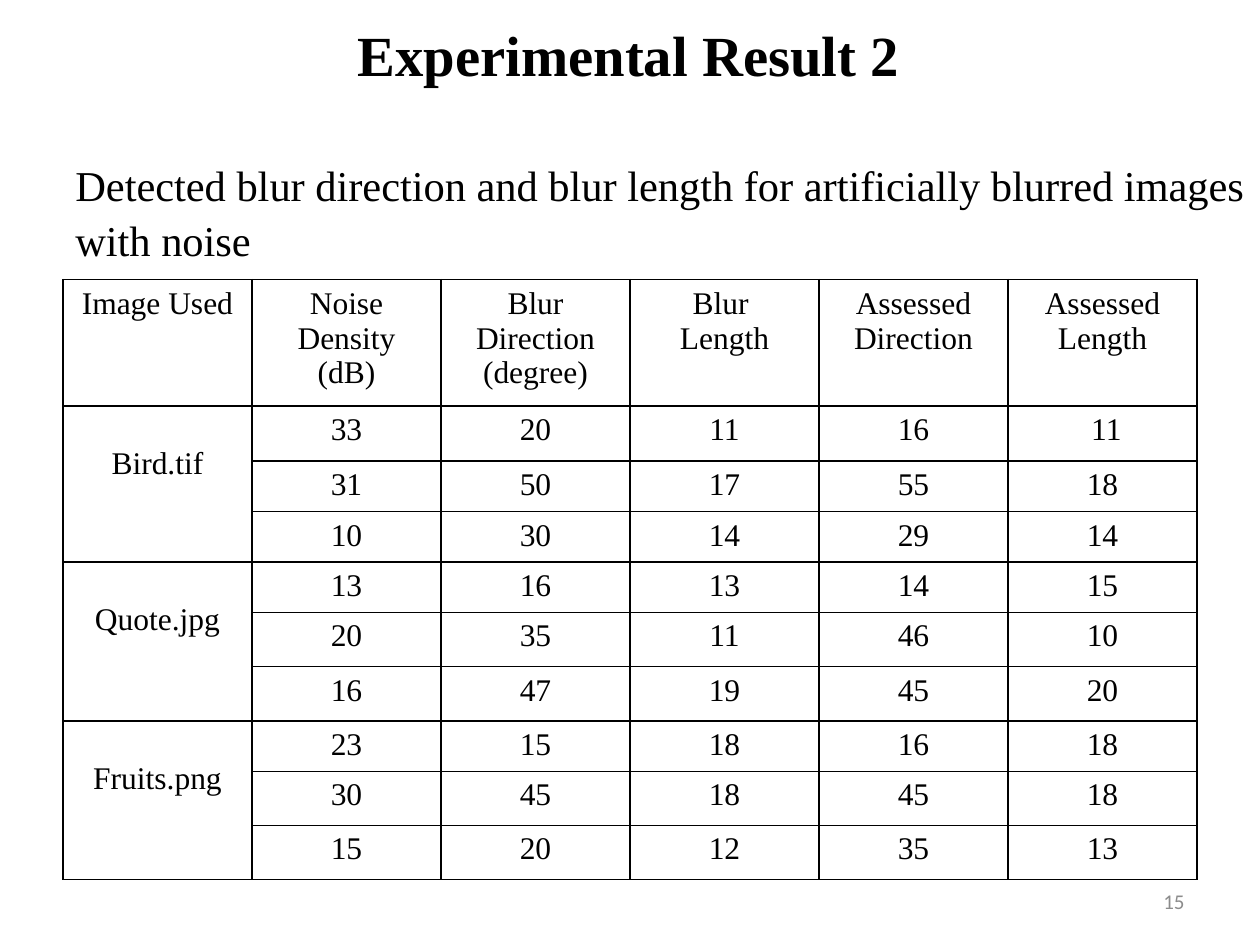
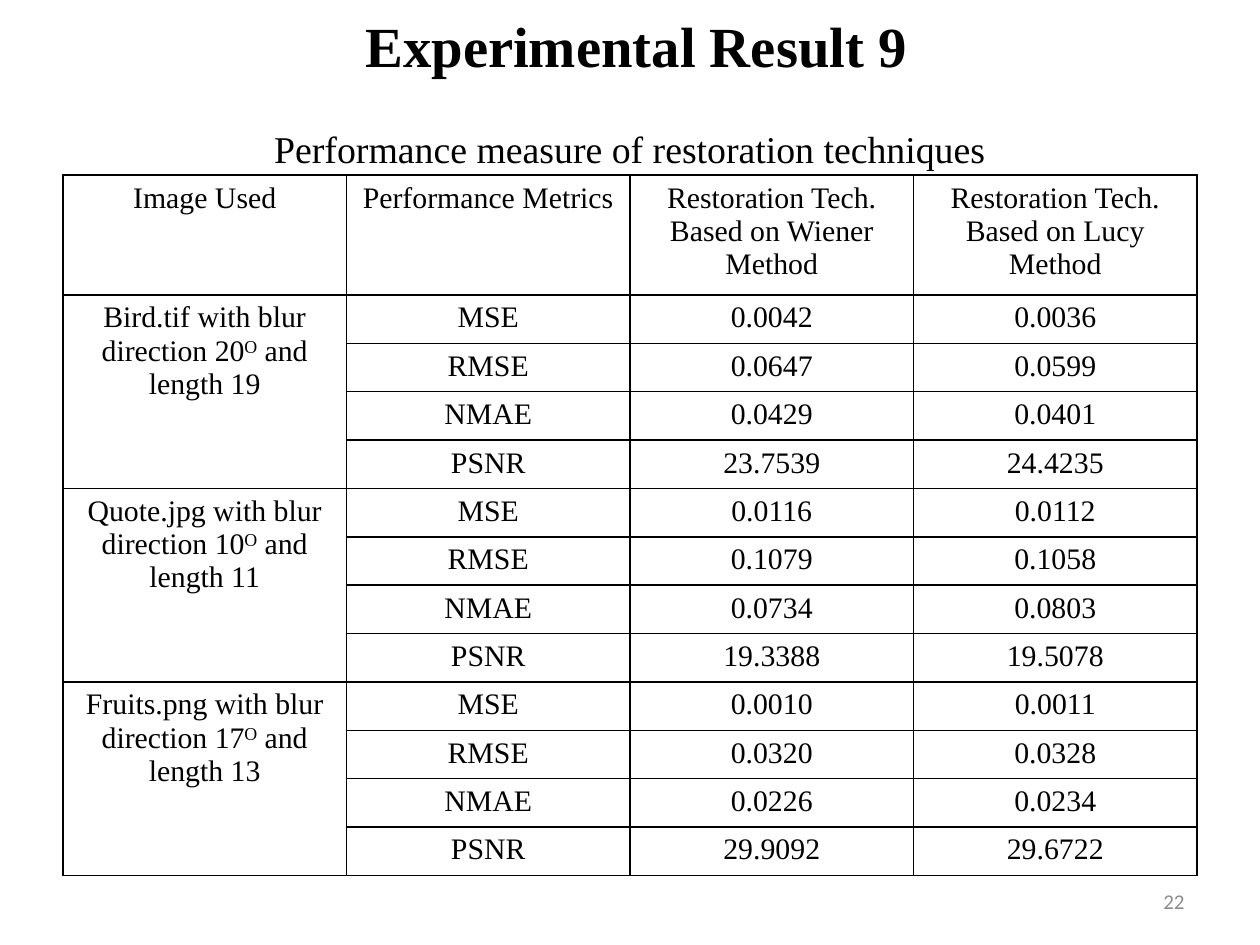
"""Build two slides of image-restoration results, each with a heading and a table."""
from dataclasses import dataclass
from typing import Any

from lxml import etree
from pptx import Presentation
from pptx import util as u
from pptx.dml.color import RGBColor
from pptx.enum import text
from pptx.oxml import ns

BLACK = RGBColor(0x00, 0x00, 0x00)
WHITE = RGBColor(0xFF, 0xFF, 0xFF)
GRAY = RGBColor(0x8C, 0x8C, 0x8C)
SERIF = "Times New Roman"
GRID = u.Inches(0.5)
GRID_COLUMNS, GRID_ROWS = 20, 15
TITLE_FORMAT = {"name": SERIF, "size": u.Pt(32.4), "bold": True}
NUMBER_FORMAT = {"name": "Calibri", "size": u.Pt(12)}
CENTER, LEFT, RIGHT = text.PP_ALIGN.CENTER, text.PP_ALIGN.LEFT, text.PP_ALIGN.RIGHT


@dataclass(frozen=True)
class Box:
    """Place on the slide in grid columns and rows."""
    left: float
    top: float
    width: float
    height: float

    def lengths(self) -> tuple[int, ...]:
        return tuple(grid(value) for value in (self.left, self.top, self.width, self.height))


@dataclass(frozen=True)
class Heading:
    """Title with a caption below it."""
    title: str
    caption: str
    box: Box
    alignment: Any
    title_indent: float
    caption_size: float
    caption_gap: float
    caption_spacing: float
    bottom_inset: float


@dataclass(frozen=True)
class ImageGroup:
    """Measurements that belong to one image."""
    image: str
    rows: list[str]


@dataclass(frozen=True)
class ResultTable:
    """Table with one merged first cell per image."""
    top: float
    size: float
    image_inset: float
    row_heights: list[float]
    headers: list[str]
    groups: list[ImageGroup]


@dataclass(frozen=True)
class ResultSlide:
    """Heading, table and number of one slide."""
    number: int
    heading: Heading
    table: ResultTable


NUMBER_BOX = Box(14.34, 13.9, 4.66, 0.8)
TABLE_LEFT, TABLE_WIDTH = 1, 18

RESULTS = [
    ResultSlide(
        15,
        Heading("Experimental Result 2",
                "Detected blur direction and blur length for artificially blurred images with noise",
                Box(1, 0.84, 19, 2.84), LEFT, 4.48, 24.3, 38, 1.08, 0.1),
        ResultTable(
            4.44, 18, 0.64,
            [1.92, 0.88, 0.76, 0.76, 0.76, 0.86, 0.86, 0.76, 0.86, 0.86],
            ["Image Used", "Noise\nDensity\n(dB)", "Blur Direction\n(degree)",
             "Blur \nLength", "Assessed\nDirection", "Assessed\nLength"],
            [ImageGroup("Bird.tif", ["33|20|11|16| 11", "31|50|17|55|18", "10|30|14|29|14"]),
             ImageGroup("Quote.jpg", ["13|16|13|14|15", "20|35|11|46|10", "16|47|19|45|20"]),
             ImageGroup("Fruits.png", ["23|15|18|16|18", "30|45|18|45|18", "15|20|12|35|13"])])),
    ResultSlide(
        22,
        Heading("Experimental Result 9", "Performance measure of restoration techniques",
                Box(1, 0.34, 18, 2.9), CENTER, 0.2, 21.6, 27, 1, 0.8),
        ResultTable(
            2.78, 17, 0.1, [1.78] + [0.72] * 12,
            ["Image Used", "Performance Metrics", "Restoration Tech. Based on Wiener Method",
             "Restoration Tech. Based on Lucy Method"],
            [ImageGroup("Bird.tif with blur direction 20ᴼ and length 19",
                        ["MSE|0.0042|0.0036", "RMSE|0.0647|0.0599",
                         "NMAE|0.0429|0.0401", "PSNR|23.7539|24.4235"]),
             ImageGroup("Quote.jpg with blur direction 10ᴼ and length 11",
                        ["MSE|0.0116|0.0112", "RMSE|0.1079|0.1058",
                         "NMAE|0.0734|0.0803", "PSNR|19.3388|19.5078"]),
             ImageGroup("Fruits.png with blur direction 17ᴼ and length 13",
                        ["MSE|0.0010|0.0011", "RMSE|0.0320|0.0328",
                         "NMAE|0.0226|0.0234", "PSNR|29.9092|29.6722"])])),
]


def grid(value: float) -> int:
    return round(value * GRID)


def apply(target: Any, values: dict[str, Any]) -> None:
    for name, value in values.items():
        setattr(target, name, value)


def write(paragraph: Any, words: str, font: dict[str, Any], alignment: Any,
          color: RGBColor = BLACK) -> None:
    paragraph.alignment = alignment
    run = paragraph.add_run()
    run.text = words
    apply(run.font, font)
    run.font.color.rgb = color


def add_text_frame(slide: Any, box: Box) -> Any:
    frame = slide.shapes.add_textbox(*box.lengths()).text_frame
    apply(frame, {"word_wrap": True, "vertical_anchor": text.MSO_ANCHOR.MIDDLE})
    return frame


def add_heading(slide: Any, heading: Heading) -> None:
    frame = add_text_frame(slide, heading.box)
    apply(frame, {"margin_right": 0 if heading.alignment == LEFT else grid(0.2),
                  "margin_bottom": grid(heading.bottom_inset)})
    title, caption = frame.paragraphs[0], frame.add_paragraph()
    write(title, heading.title, TITLE_FORMAT, heading.alignment)
    title._p.get_or_add_pPr().set("marL", str(grid(heading.title_indent)))
    write(caption, heading.caption, {"name": SERIF, "size": u.Pt(heading.caption_size)},
          heading.alignment)
    apply(caption, {"space_before": u.Pt(heading.caption_gap),
                    "line_spacing": heading.caption_spacing})


def add_borders(cell: Any) -> None:
    properties = cell._tc.get_or_add_tcPr()
    for position, side in enumerate("LRTB"):
        line = etree.Element(ns.qn(f"a:ln{side}"), w=str(u.Pt(1)))
        fill = etree.SubElement(line, ns.qn("a:solidFill"))
        etree.SubElement(fill, ns.qn("a:srgbClr"), val=str(BLACK))
        properties.insert(position, line)


def fill_cell(cell: Any, words: str, size: float) -> None:
    for index, line in enumerate(words.split("\n")):
        frame = cell.text_frame
        paragraph = frame.add_paragraph() if index else frame.paragraphs[0]
        write(paragraph, line, {"name": SERIF, "size": u.Pt(size)}, CENTER)


def add_result_table(slide: Any, result: ResultTable) -> None:
    row_count, column_count = len(result.row_heights), len(result.headers)
    box = Box(TABLE_LEFT, result.top, TABLE_WIDTH, sum(result.row_heights))
    table = slide.shapes.add_table(row_count, column_count, *box.lengths()).table
    apply(table, {"first_row": False, "horz_banding": False})
    for row, height in zip(table.rows, result.row_heights):
        row.height = grid(height)
    for cell in table.iter_cells():
        cell.fill.solid()
        cell.fill.fore_color.rgb = WHITE
        add_borders(cell)
    for column, header in enumerate(result.headers):
        fill_cell(table.cell(0, column), header, result.size)
    first = 1
    for group in result.groups:
        image_cell = table.cell(first, 0)
        image_cell.merge(table.cell(first + len(group.rows) - 1, 0))
        image_cell.margin_top = grid(result.image_inset)
        fill_cell(image_cell, group.image, result.size)
        for row, values in enumerate(group.rows, first):
            for column, value in enumerate(values.split("|"), 1):
                fill_cell(table.cell(row, column), value, result.size)
        first += len(group.rows)


def add_result_slide(presentation: Any, result: ResultSlide) -> None:
    slide = presentation.slides.add_slide(presentation.slide_layouts[6])
    add_heading(slide, result.heading)
    add_result_table(slide, result.table)
    number = add_text_frame(slide, NUMBER_BOX).paragraphs[0]
    write(number, str(result.number), NUMBER_FORMAT, RIGHT, GRAY)


def main() -> None:
    presentation = Presentation()
    apply(presentation, {"slide_width": grid(GRID_COLUMNS), "slide_height": grid(GRID_ROWS)})
    for result in RESULTS:
        add_result_slide(presentation, result)
    presentation.save("out.pptx")


if __name__ == "__main__":
    main()
